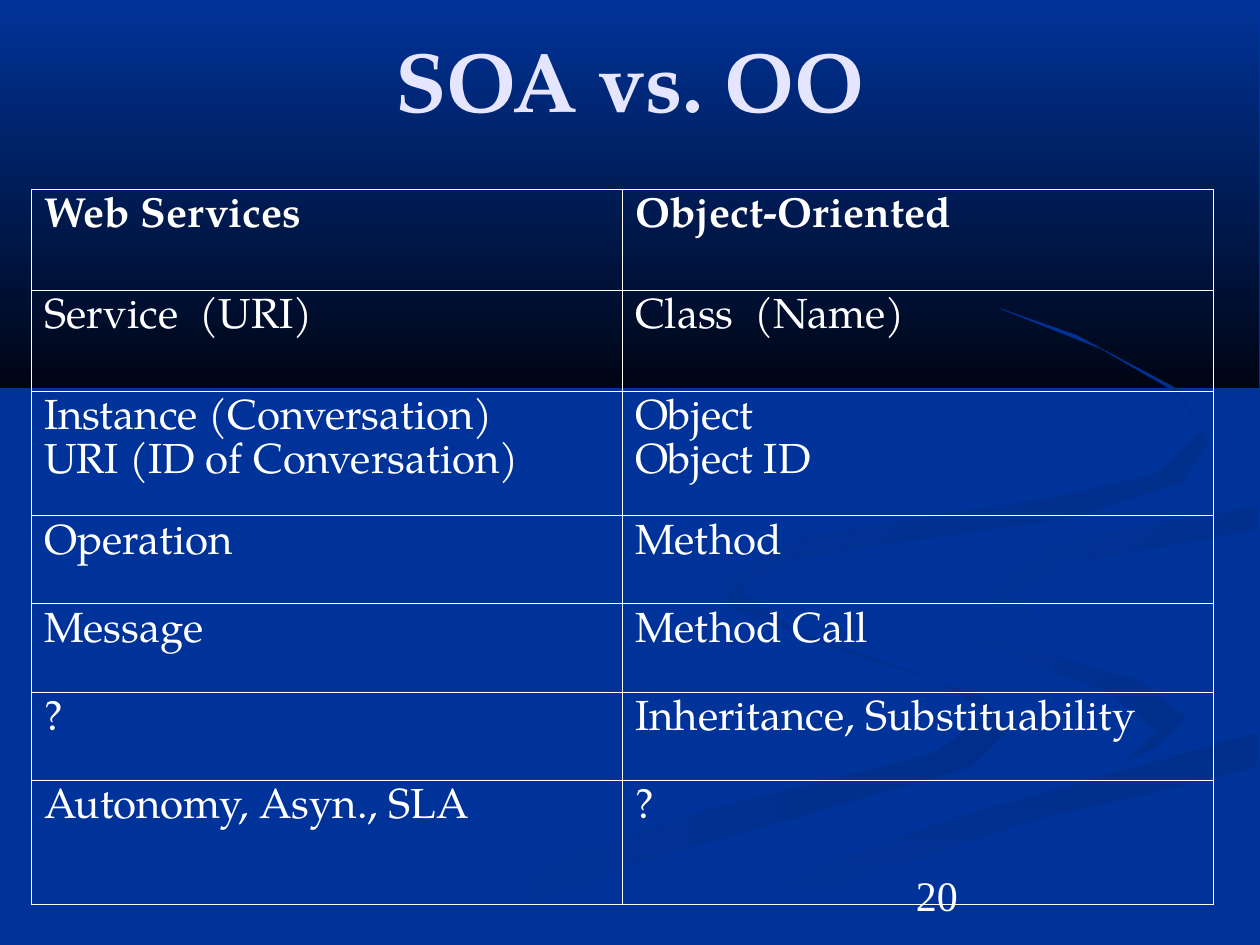
from lxml import etree
from pptx import Presentation
from pptx.dml.color import RGBColor
from pptx.enum import text
from pptx.oxml import ns
from pptx.util import Inches, Pt

BLUE, NAVY, BLACK_BLUE = "003399", "002E8A", "000514"
WHITE, LAVENDER = "FFFFFF", "E5E5FF"
SERIF, NUMBER_FONT = "TeX Gyre Pagella", "Times New Roman"

TITLE = "SOA vs. OO"
PAGE_NUMBER = "20"
COMPARISON = [
    ("Web Services", "Object-Oriented", 0.8),
    ("Service  (URI)", "Class  (Name)", 0.8),
    ("Instance (Conversation)\nURI (ID of Conversation)", "Object\nObject ID", 0.99),
    ("Operation", "Method", 0.7),
    ("Message", "Method Call", 0.7),
    ("?", "Inheritance, Substituability", 0.7),
    ("Autonomy, Asyn., SLA", "?", 0.99),
]
COLUMN_WIDTH = 4.69
OUTER_LINE, INNER_LINE = 0.23, 0.11

# Backdrop outlines in inches: start colour, end colour, clockwise angle, points
BACKDROP = [
    (BLUE, BLACK_BLUE, 90, [(0, 0), (0, 3.08), (9.99, 3.08), (9.99, 0)]),
    (NAVY, BLUE, 180, [
        (7.8, 5.53), (6.4, 5.07), (5.75, 4.6), (5.8, 4.83), (7.4, 5.39),
        (7.86, 5.66), (7.4, 5.98), (5.4, 6.49), (4.2, 6.89), (3, 7.49),
        (3.61, 7.49), (5, 6.86), (7.7, 6.09), (8, 5.81)]),
    (NAVY, BLUE, 225, [
        (9.42, 5.7), (9.05, 5.4), (7.74, 5.03), (7.24, 4.64), (7.46, 5),
        (8.8, 5.49), (9.18, 5.81), (8.93, 6.04), (9.36, 5.85)]),
    (NAVY, BLUE, 90, [
        (5.03, 7.49), (5.71, 7.49), (6.7, 7.01), (8.2, 6.51), (9.98, 6.09),
        (9.98, 5.81), (7.64, 6.47), (6.3, 6.93)]),
    (BLUE, BLUE, 0, [
        (7.25, 4.64), (7.75, 5.03), (9.05, 5.4), (9.42, 5.7), (9.1, 6),
        (6.63, 6.68), (4.77, 7.49), (5.19, 7.47), (6.3, 6.93), (7.65, 6.47),
        (9.99, 5.81), (9.99, 5.38), (8.3, 4.98), (7.81, 4.63), (8.22, 4.33),
        (9.99, 4.02), (9.99, 3.87), (7.9, 4.22)]),
    (NAVY, BLUE, 225, [
        (7.81, 4.6), (7.9, 4.78), (8.26, 4.95), (8.05, 4.74), (8.43, 4.48),
        (9.98, 4.2), (9.98, 4.02), (8.35, 4.3)]),
    (NAVY, BLUE, 225, [
        (6.95, 4.33), (8.5, 4.11), (9.38, 3.83), (9.59, 3.51), (9.33, 3.08),
        (8.54, 2.66), (7.94, 2.45), (8.74, 2.77), (9.38, 3.14), (9.53, 3.42),
        (9.19, 3.76), (8.3, 3.96), (6.36, 4.26), (5.61, 4.63), (6.17, 4.99),
        (5.82, 4.71), (6.2, 4.46)]),
]


def color(hex_code):
    return RGBColor.from_string(hex_code)


def style(paragraph, size, name, hex_code, bold=False):
    for run in paragraph.runs:
        run.font.size, run.font.name, run.font.bold = Pt(size), name, bold
        run.font.color.rgb = color(hex_code)


def draw_backdrop(slide, start, end, angle, points):
    corners = [(Inches(x), Inches(y)) for x, y in points]
    builder = slide.shapes.build_freeform(*corners[0])
    builder.add_line_segments(corners[1:])
    ribbon = builder.convert_to_shape()
    ribbon.shadow.inherit = False
    ribbon.line.fill.background()
    if start == end:
        ribbon.fill.solid()
        ribbon.fill.fore_color.rgb = color(start)
        return
    ribbon.fill.gradient()
    ribbon.fill.gradient_angle = 360 - angle  # python-pptx counts counter-clockwise
    for stop, hex_code in zip(ribbon.fill.gradient_stops, (start, end)):
        stop.color.rgb = color(hex_code)


def set_borders(cell, widths):
    """Draw white cell borders; widths maps L, R, T, B to points."""
    properties = cell._tc.get_or_add_tcPr()
    for index, side in enumerate("LRTB"):
        border = etree.Element(ns.qn(f"a:ln{side}"), w=str(Pt(widths[side])))
        fill = etree.SubElement(border, ns.qn("a:solidFill"))
        etree.SubElement(fill, ns.qn("a:srgbClr"), val=WHITE)
        properties.insert(index, border)


def add_comparison(slide):
    last = len(COMPARISON) - 1
    height = sum(row[2] for row in COMPARISON)
    table = slide.shapes.add_table(len(COMPARISON), 2, Inches(0.25), Inches(1.5),
                                   Inches(2 * COLUMN_WIDTH), Inches(height)).table
    for column in table.columns:
        column.width = Inches(COLUMN_WIDTH)
    for r, (*entries, row_height) in enumerate(COMPARISON):
        table.rows[r].height = Inches(row_height)
        for c, entry in enumerate(entries):
            cell = table.cell(r, c)
            cell.fill.background()
            outer = {"L": c == 0, "R": c == 1, "T": r == 0, "B": r == last}
            set_borders(cell, {side: OUTER_LINE if edge else INNER_LINE
                               for side, edge in outer.items()})
            paragraph = cell.text_frame.paragraphs[0]
            paragraph.text = entry
            paragraph.line_spacing, paragraph.space_before = 1.05, Pt(6)
            style(paragraph, 24, SERIF, WHITE, bold=r == 0)


def main():
    deck = Presentation()
    deck.slide_width, deck.slide_height = Inches(10), Inches(7.5)
    slide = deck.slides.add_slide(deck.slide_layouts[5])
    slide.background.fill.solid()
    slide.background.fill.fore_color.rgb = color(BLUE)

    for outline in BACKDROP:
        draw_backdrop(slide, *outline)

    title = slide.shapes.title
    slide.shapes.element.append(title.element)  # in front of the backdrop
    title.left, title.top = Inches(0.75), Inches(0)
    title.width, title.height = Inches(8.5), Inches(1.25)
    title.text_frame.text = TITLE
    title.text_frame.vertical_anchor = text.MSO_ANCHOR.MIDDLE
    heading = title.text_frame.paragraphs[0]
    heading.alignment = text.PP_ALIGN.CENTER
    style(heading, 48, SERIF, LAVENDER, bold=True)

    add_comparison(slide)

    number = slide.shapes.add_textbox(Inches(7.17), Inches(6.83),
                                      Inches(2.33), Inches(0.52)).text_frame
    number.word_wrap = True
    number.vertical_anchor = text.MSO_ANCHOR.BOTTOM
    number.text = PAGE_NUMBER
    style(number.paragraphs[0], 24, NUMBER_FONT, WHITE)

    deck.save("out.pptx")


if __name__ == "__main__":
    main()
